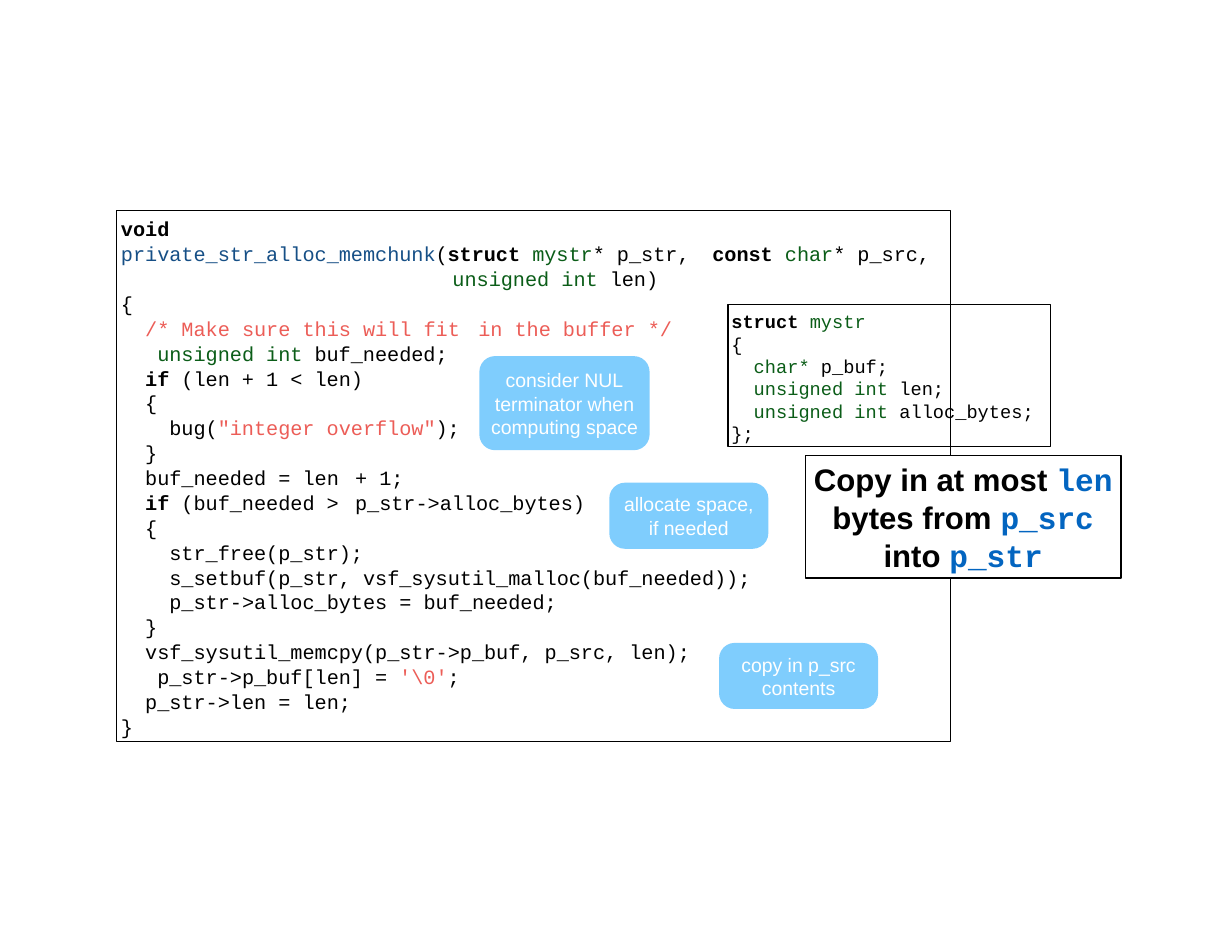
from lxml import etree
from pptx import Presentation
from pptx.dml.color import RGBColor
from pptx.enum.shapes import MSO_SHAPE
from pptx.enum.text import MSO_ANCHOR, PP_ALIGN
from pptx.oxml.ns import qn
from pptx.util import Inches, Pt

RECT, ROUND = MSO_SHAPE.RECTANGLE, MSO_SHAPE.ROUNDED_RECTANGLE
TOP, MIDDLE = MSO_ANCHOR.TOP, MSO_ANCHOR.MIDDLE
LEFT, CENTER = PP_ALIGN.LEFT, PP_ALIGN.CENTER

COLORS = {
    "black": "000000", "white": "FFFFFF", "type": "0B5D18", "func": "164F86",
    "literal": "EC5D57", "name": "0365C0", "callout": "009CFD",
}
MONO, SANS = "Courier New", "Arial"
STYLES = {
    "code": (MONO, "black", False),
    "key": (MONO, "black", True),
    "type": (MONO, "type", False),
    "func": (MONO, "func", False),
    "literal": (MONO, "literal", False),
    "note": (SANS, "white", False),
    "claim": (SANS, "black", True),
    "name": (MONO, "name", True),
}
COLS, ROWS = 110, 85


class Deck:
    def __init__(self):
        self.prs = Presentation()
        self.prs.slide_width, self.prs.slide_height = Inches(11), Inches(8.5)
        self.cell_w = self.prs.slide_width / COLS
        self.cell_h = self.prs.slide_height / ROWS
        self.s = self.prs.slides.add_slide(self.prs.slide_layouts[6])

    def shape(self, kind, box, fill=None, outline=False):
        x, y, w, h = box
        sp = self.s.shapes.add_shape(
            kind, int(x * self.cell_w), int(y * self.cell_h),
            int(w * self.cell_w), int(h * self.cell_h))
        sp.shadow.inherit = False
        if fill:
            sp.fill.solid()
            sp.fill.fore_color.rgb = RGBColor.from_string(COLORS[fill])
        else:
            sp.fill.background()
        if outline:
            sp.line.color.rgb = RGBColor.from_string(COLORS["black"])
            sp.line.width = Pt(0.8)
        else:
            sp.line.fill.background()
        return sp

    def text(self, sp, lines, size, leading, align, anchor, pad=(0, 0), tabs=None):
        tf = sp.text_frame
        tf.word_wrap = False
        tf.vertical_anchor = anchor
        tf.margin_left, tf.margin_top = (int(pad[0] * self.cell_w),
                                         int(pad[1] * self.cell_h))
        tf.margin_right = tf.margin_bottom = 0
        for i, line in enumerate(lines):
            p = tf.paragraphs[0] if i == 0 else tf.add_paragraph()
            p.alignment = align
            p.line_spacing = Pt(leading)
            if tabs and i in tabs:
                stops = etree.SubElement(p._p.get_or_add_pPr(), qn("a:tabLst"))
                etree.SubElement(stops, qn("a:tab"), algn="l",
                                 pos=str(int(tabs[i] * self.cell_w)))
            for text, style in line:
                font, color, bold = STYLES[style]
                r = p.add_run()
                r.text = text
                r.font.name, r.font.size, r.font.bold = font, Pt(size), bold
                r.font.color.rgb = RGBColor.from_string(COLORS[color])

    def code(self, box, lines, size, leading, pad, tabs=None):
        sp = self.shape(RECT, box, outline=True)
        self.text(sp, lines, size, leading, LEFT, TOP, pad, tabs)

    def callout(self, box, lines):
        sp = self.shape(ROUND, box, "callout")
        sp.adjustments[0] = 1.4 / box[3]
        color = sp.fill._xPr.find(qn("a:solidFill"))[0]
        etree.SubElement(color, qn("a:alpha"), val="50000")
        self.text(sp, [[(t, "note")] for t in lines], 12.5, 15.2, CENTER, MIDDLE)

    def claim(self, box, lines):
        sp = self.shape(RECT, box, "white", outline=True)
        self.text(sp, lines, 20, 24.4, CENTER, MIDDLE)


FUNCTION = [
    [("void", "key")],
    [("private_str_alloc_memchunk", "func"), ("(", "code"), ("struct ", "key"),
     ("mystr", "type"), ("* p_str,\t", "code"), ("const ", "key"),
     ("char", "type"), ("* p_src,", "code")],
    [("\tunsigned int ", "type"), ("len)", "code")],
    [("{", "code")],
    [("  /* Make sure this will fit\tin the buffer */", "literal")],
    [("   unsigned int ", "type"), ("buf_needed;", "code")],
    [("  if ", "key"), ("(len + 1 < len)", "code")],
    [("  {", "code")],
    [("    bug(", "code"), ('"integer overflow"', "literal"), (");", "code")],
    [("  }", "code")],
    [("  buf_needed = len\t+ 1;", "code")],
    [("  if ", "key"), ("(buf_needed >\tp_str->alloc_bytes)", "code")],
    [("  {", "code")],
    [("    str_free(p_str);", "code")],
    [("    s_setbuf(p_str, vsf_sysutil_malloc(buf_needed));", "code")],
    [("    p_str->alloc_bytes = buf_needed;", "code")],
    [("  }", "code")],
    [("  vsf_sysutil_memcpy(p_str->p_buf, p_src, len);", "code")],
    [("   p_str->p_buf[len] = ", "code"), (r"'\0'", "literal"), (";", "code")],
    [("  p_str->len = len;", "code")],
    [("}", "code")],
]
FUNCTION_TABS = {1: 52.8, 2: 29.6, 4: 31.9, 10: 20.9, 11: 20.9}
STRUCT = [
    [("struct ", "key"), ("mystr", "type")],
    [("{", "code")],
    [("  char* ", "type"), ("p_buf;", "code")],
    [("  unsigned int ", "type"), ("len;", "code")],
    [("  unsigned int ", "type"), ("alloc_bytes;", "code")],
    [("};", "code")],
]
CLAIM = [
    [("Copy in at most ", "claim"), ("len", "name")],
    [("bytes from ", "claim"), ("p_src", "name")],
    [("into ", "claim"), ("p_str", "name")],
]
CALLOUTS = [
    ((42.8, 31.8, 15.2, 8.4), ["consider NUL", "terminator when", "computing space"]),
    ((54.4, 43.1, 14.2, 5.9), ["allocate space,", "if needed"]),
    ((64.2, 57.4, 14.2, 5.9), ["copy in p_src", "contents"]),
]


def main():
    deck = Deck()
    deck.code((10.4, 18.8, 74.5, 47.4), FUNCTION, 13, 16, (0.4, 0.5), FUNCTION_TABS)
    deck.code((65, 27.2, 28.8, 12.7), STRUCT, 12, 14.4, (0.3, 0.5))
    for box, lines in CALLOUTS:
        deck.callout(box, lines)
    deck.claim((71.9, 40.7, 28.2, 10.9), CLAIM)
    deck.prs.save("out.pptx")


if __name__ == "__main__":
    main()
